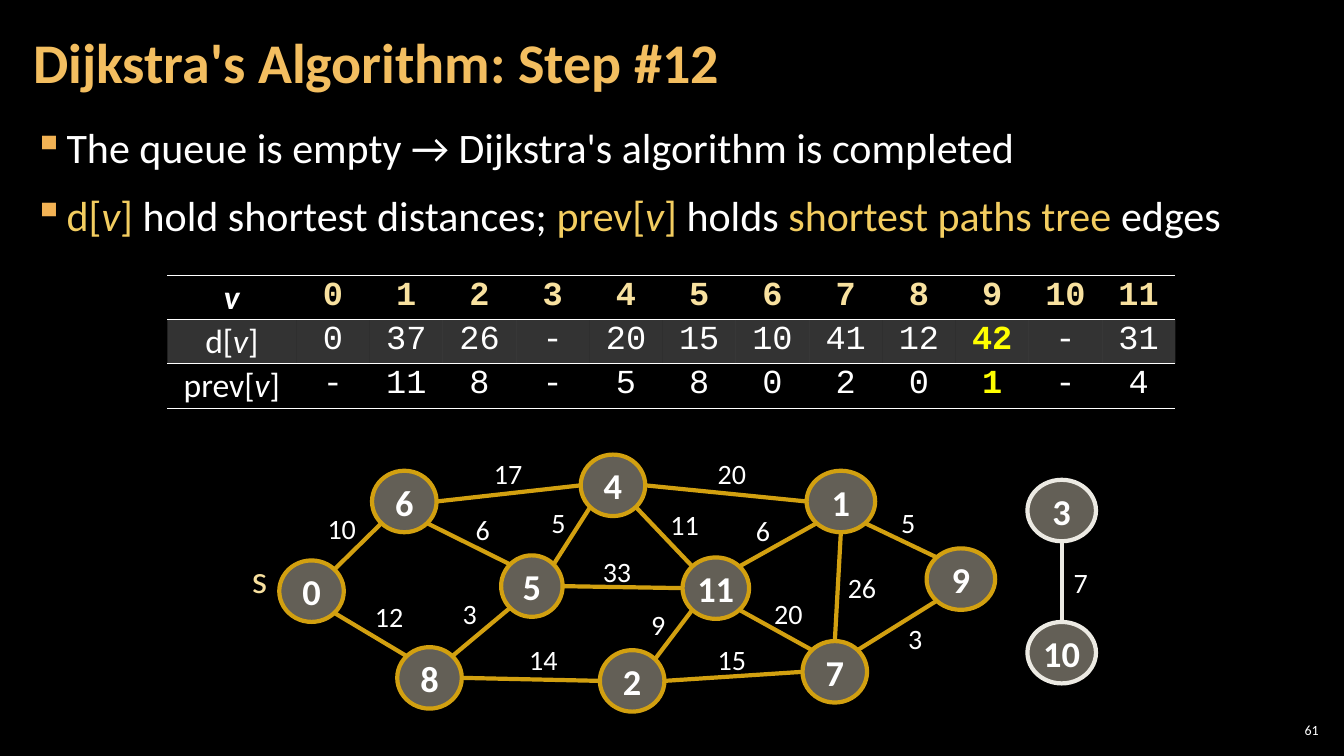
import math

from lxml import etree
from pptx import Presentation
from pptx.dml.color import RGBColor
from pptx.enum.shapes import MSO_CONNECTOR, MSO_SHAPE
from pptx.enum.text import MSO_ANCHOR, PP_ALIGN
from pptx.oxml.ns import qn
from pptx.util import Pt

PX = 9144  # 100 px to the inch
LEFT, CENTER, RIGHT = PP_ALIGN.LEFT, PP_ALIGN.CENTER, PP_ALIGN.RIGHT
TOP, MIDDLE = MSO_ANCHOR.TOP, MSO_ANCHOR.MIDDLE
ELLIPSE, STRAIGHT = MSO_SHAPE.OVAL, MSO_CONNECTOR.STRAIGHT

COLORS = {
    "background": "000000", "text": "FFFFFF", "title": "F3BE60", "bullet": "F2B254",
    "accent": "F3CD60", "pale": "F8E19F", "latest": "FFFF00",
    "node": "C7BFAC", "tree": "D2A010", "isolated": "ECEAE3",
}

BULLETS = [
    [("The queue is empty → Dijkstra's algorithm is completed", {})],
    [("d[", {"color": "accent"}), ("v", {"color": "accent", "italic": True}),
     ("] ", {"color": "accent"}), ("hold shortest distances; ", {}),
     ("prev[", {"color": "accent"}), ("v", {"color": "accent", "italic": True}),
     ("]", {"color": "accent"}), (" holds ", {}),
     ("shortest paths tree ", {"color": "accent"}), ("edges", {})],
]

ROW_LABELS = [
    [("v", {"bold": True, "italic": True})],
    [("d[", {}), ("v", {"italic": True}), ("]", {})],
    [("prev[", {}), ("v", {"italic": True}), ("]", {})],
]
ROW_VALUES = [
    [str(v) for v in range(12)],
    "0 37 26 - 20 15 10 41 12 42 - 31".split(),
    "- 11 8 - 5 8 0 2 0 1 - 4".split(),
]
LATEST_VERTEX = 9

NODE_HEIGHT = 61
NODES = {  # vertex: left, top, width within the graph
    0: (37, 108, 64), 1: (560, 19, 68), 2: (355, 197, 64), 3: (779, 28, 68),
    4: (336, 3, 64), 5: (257, 103, 61), 6: (129, 19, 64), 7: (556, 188, 64),
    8: (154, 194, 64), 9: (679, 96, 68), 10: (779, 169, 68), 11: (437, 105, 66),
}
ISOLATED = {3, 10}
SITES = ["E", "SE", "S", "SW", "W", "NW", "N", "NE"]
EDGES = [  # vertex, site, vertex, site, weight, label left, label top
    (11, "NE", 1, "SW", 6, 500, 57), (4, "E", 1, "W", 20, 462, 0),
    (11, "NW", 4, "SE", 11, 415, 51), (5, "E", 11, "W", 33, 348, 97),
    (4, "SW", 5, "NE", 5, 297, 49), (6, "E", 4, "W", 17, 240, 0),
    (5, "NW", 6, "SE", 6, 222, 56), (11, "SE", 7, "NW", 20, 518, 139),
    (2, "W", 8, "E", 14, 275, 184), (5, "SW", 8, "NE", 3, 209, 139),
    (2, "NE", 11, "SW", 9, 396, 150), (0, "NE", 6, "SW", 10, 75, 55),
    (7, "N", 1, "S", 26, 591, 113), (7, "W", 2, "E", 15, 462, 185),
    (0, "SE", 8, "NW", 12, 122, 142), (9, "NW", 1, "SE", 5, 644, 49),
    (9, "SW", 7, "NE", 3, 651, 164), (3, "S", 10, "N", 7, 815, 108),
]


def px(*values):
    return [round(v * PX) for v in values]


def rgb(name):
    return RGBColor.from_string(COLORS[name])


def set_alpha(element, percent):
    """Make the first solid colour inside the element translucent."""
    color = next(element.iter(qn("a:srgbClr")))
    etree.SubElement(color, qn("a:alpha"), val=str(percent * 1000))


def add_runs(p, runs, size, **base):
    for text, changes in runs:
        fmt = {"name": "Calibri", "size": Pt(size), "bold": False, "italic": False,
               "color": "text", **base, **changes}
        r = p.add_run()
        r.text = text
        r.font.color.rgb = rgb(fmt.pop("color"))
        for key, value in fmt.items():
            setattr(r.font, key, value)


def set_frame(tf, insets, anchor=TOP, wrap=True):
    left, top = px(*insets)
    fmt = {"margin_left": left, "margin_right": left, "margin_top": top,
           "margin_bottom": top, "vertical_anchor": anchor, "word_wrap": wrap}
    for key, value in fmt.items():
        setattr(tf, key, value)


def add_text(s, box, text, size, insets=(10, 5), anchor=TOP, wrap=True, align=LEFT, **fmt):
    tf = s.shapes.add_textbox(*px(*box)).text_frame
    set_frame(tf, insets, anchor, wrap)
    p = tf.paragraphs[0]
    p.alignment = align
    add_runs(p, [(text, {})], size, **fmt)
    return p


def add_title(s, box):
    p = add_text(s, box, "Dijkstra's Algorithm: Step #12", 40, (12, 4), MIDDLE,
                 bold=True, color="title")
    p.line_spacing = 0.9


def add_bullets(s, box):
    tf = s.shapes.add_textbox(*px(*box)).text_frame
    set_frame(tf, (12, 4))
    indent = 33 * PX
    for i, runs in enumerate(BULLETS):
        p = tf.add_paragraph() if i else tf.paragraphs[0]
        p.space_before, p.space_after = Pt(6 if i else 0), Pt(6)
        pPr = p._p.get_or_add_pPr()
        pPr.set("marL", str(indent))
        pPr.set("indent", str(-indent))
        color = etree.SubElement(pPr, qn("a:buClr"))
        etree.SubElement(color, qn("a:srgbClr"), val=COLORS["bullet"])
        etree.SubElement(pPr, qn("a:buChar"), char="▪")
        add_runs(p, runs, 30)


def set_borders(cell):
    """Rule the cell above and below only."""
    tcPr = cell._tc.get_or_add_tcPr()
    for i, side in enumerate(["lnL", "lnR", "lnT", "lnB"]):
        ln = etree.Element(qn(f"a:{side}"), w=str(Pt(1)))
        if side in ("lnT", "lnB"):
            fill = etree.SubElement(ln, qn("a:solidFill"))
            etree.SubElement(fill, qn("a:srgbClr"), val=COLORS["text"])
        else:
            etree.SubElement(ln, qn("a:noFill"))
        tcPr.insert(i, ln)


def add_distance_table(s, box, label_width):
    columns = 1 + len(ROW_VALUES[0])
    table = s.shapes.add_table(len(ROW_VALUES), columns, *px(*box)).table
    table.first_row = table.horz_banding = False
    table.columns[0].width = label_width * PX
    for c in range(1, columns):
        table.columns[c].width = (box[2] - label_width) * PX // (columns - 1)
    for row, (label, values) in enumerate(zip(ROW_LABELS, ROW_VALUES)):
        for c in range(columns):
            cell = table.cell(row, c)
            cell.margin_left = cell.margin_right = 4 * PX
            cell.margin_top = cell.margin_bottom = 2 * PX
            if row == 1:
                cell.fill.solid()
                cell.fill.fore_color.rgb = rgb("text")
                set_alpha(cell._tc.tcPr, 20)
            else:
                cell.fill.background()
            set_borders(cell)
            p = cell.text_frame.paragraphs[0]
            p.alignment = CENTER
            if c == 0:
                add_runs(p, label, 24)
                continue
            latest = row > 0 and c - 1 == LATEST_VERTEX
            color = "pale" if row == 0 else "latest" if latest else "text"
            add_runs(p, [(values[c - 1], {})], 24, name="Courier New",
                     bold=row == 0 or latest, color=color)


def site_point(vertex, site):
    """Point on the rim of a node in a compass direction."""
    x, y, w = NODES[vertex]
    angle = SITES.index(site) * math.pi / 4
    return x + w / 2 * (1 + math.cos(angle)), y + NODE_HEIGHT / 2 * (1 + math.sin(angle))


def add_graph(s, left, top):
    for start, site1, end, site2, weight, x, y in EDGES:
        (x1, y1), (x2, y2) = site_point(start, site1), site_point(end, site2)
        line = s.shapes.add_connector(
            STRAIGHT, *px(left + x1, top + y1, left + x2, top + y2))
        line.line.color.rgb = rgb("isolated" if start in ISOLATED else "tree")
        line.line.width = Pt(3)
        etree.SubElement(line.element.spPr, qn("a:effectLst"))
        width = 49 if weight > 9 else 34
        add_text(s, (left + x, top + y, width, 44), str(weight), 20, wrap=False)
    for vertex, (x, y, w) in NODES.items():
        sp = s.shapes.add_shape(ELLIPSE, *px(left + x, top + y, w, NODE_HEIGHT))
        sp.shadow.inherit = False
        sp.fill.solid()
        sp.fill.fore_color.rgb = rgb("node")
        set_alpha(sp.element.spPr, 50)
        sp.line.color.rgb = rgb("isolated" if vertex in ISOLATED else "tree")
        sp.line.width = Pt(3)
        set_frame(sp.text_frame, (4, 5), MIDDLE)
        p = sp.text_frame.paragraphs[0]
        p.alignment = CENTER
        add_runs(p, [(str(vertex), {})], 26, bold=True)
    add_text(s, (left, top + 97, 36, 57), "s", 28, wrap=False, color="pale")


def main():
    prs = Presentation()
    prs.slide_width, prs.slide_height = px(1333, 750)
    s = prs.slides.add_slide(prs.slide_layouts[6])
    s.background.fill.solid()
    s.background.fill.fore_color.rgb = rgb("background")
    add_text(s, (1265, 714, 47, 21), "61", 10, (4, 4), MIDDLE, align=RIGHT)
    add_bullets(s, (21, 117, 1291, 609))
    add_title(s, (21, 4, 1047, 121))
    add_distance_table(s, (166, 273, 1000, 132), 128)
    add_graph(s, 240, 448)
    prs.save("out.pptx")


if __name__ == "__main__":
    main()
